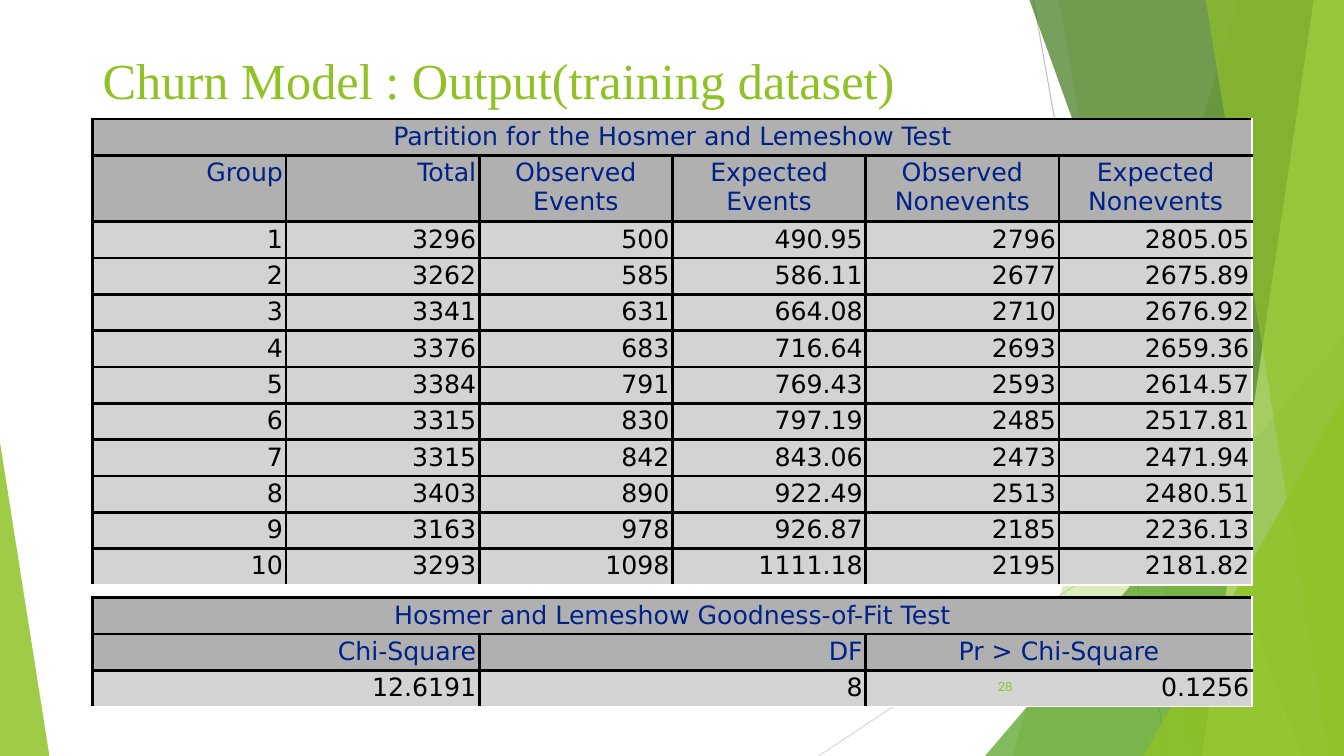
from lxml import etree
from pptx import Presentation
from pptx import util as u
from pptx.dml.color import RGBColor
from pptx.enum import shapes, text
from pptx.oxml.ns import qn

WIDTH, HEIGHT = u.Inches(13.33), u.Inches(7.5)
LEFT, TABLE_WIDTH = u.Inches(0.92), u.Inches(11.5)
GREEN, NAVY, BLACK, WHITE = "90C226", "002288", "000000", "FFFFFF"
RIGHT, CENTER = text.PP_ALIGN.RIGHT, text.PP_ALIGN.CENTER

presentation = Presentation()
presentation.slide_width, presentation.slide_height = WIDTH, HEIGHT
slide = presentation.slides.add_slide(presentation.slide_layouts[6])


def color(value):
    return RGBColor.from_string(value)


def write(frame, words, size, font_name, font_color, alignment):
    frame.text = words
    frame.word_wrap = True
    paragraph = frame.paragraphs[0]
    paragraph.alignment = alignment
    font = paragraph.runs[0].font
    font.size, font.name = u.Pt(size), font_name
    font.color.rgb = color(font_color)


for x1, y1, x2, y2, line_color in [
    (10.25, 0, 11.58, 7.5, "BFBFBF"),
    (13.33, 4.03, 8.12, 7.5, "D9D9D9"),
]:
    line = slide.shapes.add_connector(
        shapes.MSO_CONNECTOR.STRAIGHT, *[u.Inches(value) for value in (x1, y1, x2, y2)])
    line.line.color.rgb = color(line_color)
    line.line.width = u.Pt(0.75)
    etree.SubElement(line._element.spPr, qn("a:effectLst"))

facets = [
    ("band", (12.28, 10.04), GREEN, 30),
    ("band", (10.5, 11.83), GREEN, 20),
    ("triangle", (9.77, 3.33, 3.56, 1), "54A021", 72),
    ("band", (10.21, 12.91), "3F7819", 70),
    ("band", (13.03, 11.92), "C0E474", 70),
    ("band", (11.96, 13.18), GREEN, 65),
    ("triangle", (11.34, 3.93, 1.99, 1), GREEN, 80),
    ("triangle", (0, 4.39, 0.49, 0), GREEN, 85),
]
for kind, geometry, fill_color, opacity in facets:
    if kind == "band":
        top_x, bottom_x = [u.Inches(value) for value in geometry]
        builder = slide.shapes.build_freeform(top_x, 0)
        builder.add_line_segments([(WIDTH, 0), (WIDTH, HEIGHT), (bottom_x, HEIGHT)])
        facet = builder.convert_to_shape()
    else:
        left, top, width = [u.Inches(value) for value in geometry[:3]]
        facet = slide.shapes.add_shape(
            shapes.MSO_SHAPE.ISOSCELES_TRIANGLE, left, top, width, HEIGHT - top)
        facet.adjustments[0] = geometry[3]
    facet.shadow.inherit = False
    facet.line.fill.background()
    facet.fill.solid()
    facet.fill.fore_color.rgb = color(fill_color)
    fill_element = facet._element.spPr.find(qn("a:solidFill"))
    etree.SubElement(fill_element[0], qn("a:alpha"), val=str(opacity * 1000))

title = slide.shapes.add_textbox(LEFT, u.Inches(0.4), TABLE_WIDTH, u.Inches(0.78))
title.text_frame.vertical_anchor = text.MSO_ANCHOR.MIDDLE
write(title.text_frame, "Churn Model : Output(training dataset)",
      36, "Times New Roman", GREEN, text.PP_ALIGN.LEFT)

partition = [
    ["Partition for the Hosmer and Lemeshow Test"],
    ["Group", "Total", "Observed Events", "Expected Events",
     "Observed Nonevents", "Expected Nonevents"],
    ["1", "3296", "500", "490.95", "2796", "2805.05"],
    ["2", "3262", "585", "586.11", "2677", "2675.89"],
    ["3", "3341", "631", "664.08", "2710", "2676.92"],
    ["4", "3376", "683", "716.64", "2693", "2659.36"],
    ["5", "3384", "791", "769.43", "2593", "2614.57"],
    ["6", "3315", "830", "797.19", "2485", "2517.81"],
    ["7", "3315", "842", "843.06", "2473", "2471.94"],
    ["8", "3403", "890", "922.49", "2513", "2480.51"],
    ["9", "3163", "978", "926.87", "2185", "2236.13"],
    ["10", "3293", "1098", "1111.18", "2195", "2181.82"],
]
goodness_of_fit = [
    ["Hosmer and Lemeshow Goodness-of-Fit Test"],
    ["Chi-Square", "DF", "Pr > Chi-Square"],
    ["12.6191", "8", "0.1256"],
]
for rows, top, heading_height in [(partition, 1.18, 0.64), (goodness_of_fit, 5.93, 0.35)]:
    row_count, column_count = len(rows), len(rows[1])
    heights = [0.35, heading_height] + [0.35] * (row_count - 2)
    table = slide.shapes.add_table(row_count, column_count, LEFT, u.Inches(top),
                                   TABLE_WIDTH, u.Inches(sum(heights))).table
    table.first_row = table.horz_banding = False
    table.cell(0, 0).merge(table.cell(0, column_count - 1))
    for row_index, height in enumerate(heights):
        table.rows[row_index].height = u.Inches(height)
        for column_index in range(column_count):
            cell = table.cell(row_index, column_index)
            cell.margin_left = cell.margin_right = u.Inches(0.03)
            cell.margin_top = cell.margin_bottom = u.Inches(0.03)
            white_sides = {
                "R": row_index == 0 or column_index == column_count - 1,
                "B": row_index == row_count - 1,
            }
            for side in "LRTB":
                is_white = white_sides.get(side, False)
                border = etree.SubElement(cell._tc.get_or_add_tcPr(), qn("a:ln" + side),
                                          w=str(u.Pt(1.13 if is_white else 2.25)))
                border_fill = etree.SubElement(border, qn("a:solidFill"))
                etree.SubElement(border_fill, qn("a:srgbClr"), val=WHITE if is_white else BLACK)
            is_heading = row_index < 2
            cell.fill.solid()
            cell.fill.fore_color.rgb = color("B0B0B0" if is_heading else "D3D3D3")
            if cell.is_spanned:
                continue
            is_centered = row_index == 0 or (row_index == 1 and column_index > 1)
            write(cell.text_frame, rows[row_index][column_index], 18, "DejaVu Sans",
                  NAVY if is_heading else BLACK, CENTER if is_centered else RIGHT)

page_number = slide.shapes.add_textbox(
    u.Inches(9.39), u.Inches(6.61), u.Inches(0.75), u.Inches(0.4))
page_number.text_frame.vertical_anchor = text.MSO_ANCHOR.MIDDLE
write(page_number.text_frame, "28", 9, "Lato", GREEN, RIGHT)

presentation.save("out.pptx")
